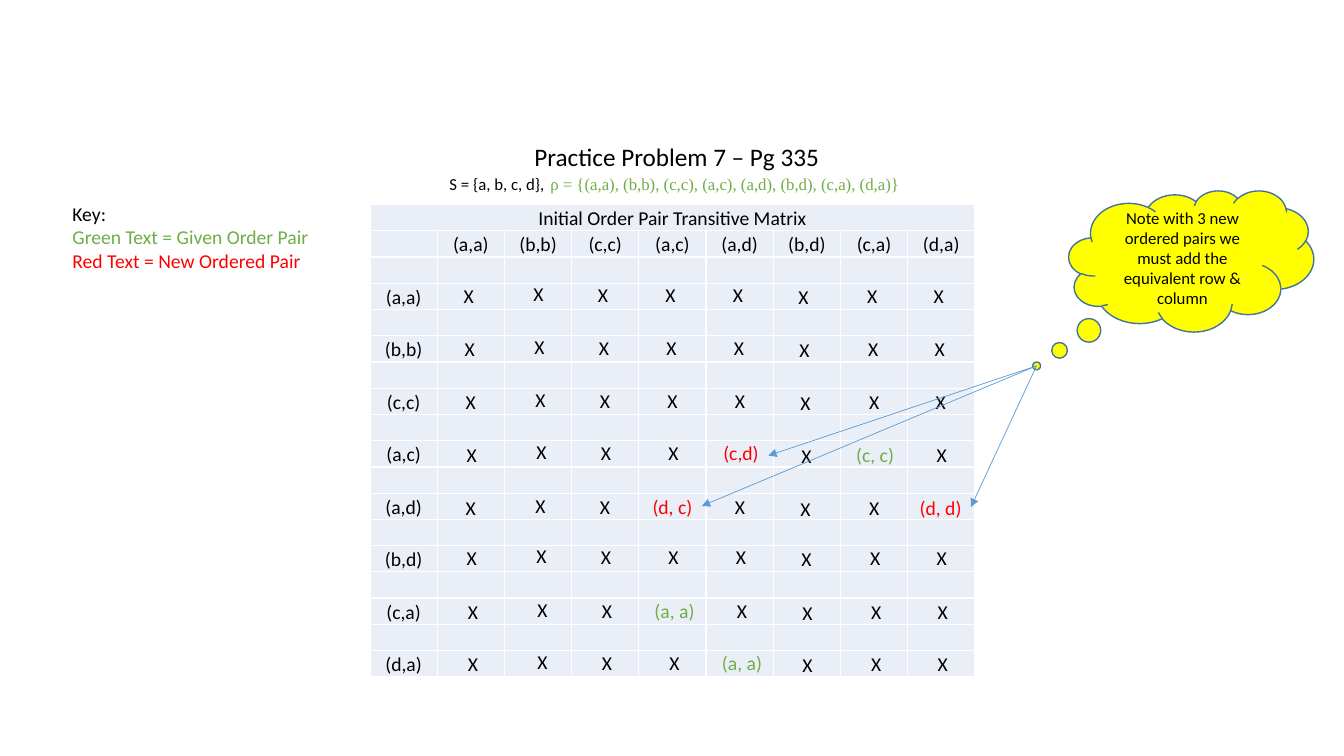
from lxml import etree
from pptx import Presentation
from pptx.dml.color import RGBColor
from pptx.enum.shapes import MSO_CONNECTOR, MSO_SHAPE
from pptx.enum.text import MSO_ANCHOR, MSO_AUTO_SIZE, PP_ALIGN
from pptx.oxml.ns import qn
from pptx.util import Inches, Pt

LEFT, CENTER = PP_ALIGN.LEFT, PP_ALIGN.CENTER
TOP, MIDDLE, BOTTOM = MSO_ANCHOR.TOP, MSO_ANCHOR.MIDDLE, MSO_ANCHOR.BOTTOM
NO_AUTOFIT = MSO_AUTO_SIZE.NONE
CLOUD, STRAIGHT = MSO_SHAPE.CLOUD_CALLOUT, MSO_CONNECTOR.STRAIGHT
BLACK, WHITE, GREEN, RED = "000000", "FFFFFF", "70AD47", "FF0000"
YELLOW, PALE, BLUE, DARK_BLUE = "FFFF00", "EAEFF7", "5B9BD5", "43739E"

PAIRS = ["(a,a)", "(b,b)", "(c,c)", "(a,c)", "(a,d)", "(b,d)", "(c,a)", "(d,a)"]
# Marks other than X, by (row, column) of the matrix
COMPOSED = {
    (3, 4): ("(c,d)", RED),
    (3, 6): ("(c, c)", GREEN),
    (4, 3): ("(d, c)", RED),
    (4, 7): ("(d, d)", RED),
    (6, 3): ("(a, a)", GREEN),
    (7, 4): ("(a, a)", GREEN),
}
MARK_CENTERS = [4.65, 5.34, 5.98, 6.65, 7.32, 7.97, 8.65, 9.31]
MARK_DIPS = [0, -0.02, -0.01, -0.01, -0.01, 0.01, 0, 0]
MARK_TOPS = [2.77, 3.29, 3.82, 4.34, 4.87, 5.37, 5.9, 6.42]
MARK_SHIFTS = [0, 0.01, 0.02, 0.03, 0.02, 0.03, 0.04, 0.04]


def rgb(value):
    return RGBColor.from_string(value)


class SlideBuilder:
    font = "Calibri"

    def __init__(self, slide):
        self.s = slide

    def style(self, font, size, color=BLACK, name=None):
        font.name = name or self.font
        font.size = Pt(size)
        font.color.rgb = rgb(color)

    def title(self, text, x, y, w, h, size):
        sp = self.s.shapes.title
        sp.left, sp.top, sp.width, sp.height = map(Inches, (x, y, w, h))
        tf = sp.text_frame
        tf.auto_size, tf.word_wrap = NO_AUTOFIT, False
        tf.vertical_anchor = TOP
        p = tf.paragraphs[0]
        p.text, p.alignment = text, LEFT
        self.style(p.font, size)

    def text(self, lines, x, y, w, h, size=14, align=LEFT):
        """Add a text box; lines holds (text, colour) pairs."""
        sp = self.s.shapes.add_textbox(*map(Inches, (x, y, w, h)))
        tf = sp.text_frame
        tf.word_wrap = False
        for i, (text, color) in enumerate(lines):
            p = tf.add_paragraph() if i else tf.paragraphs[0]
            p.text, p.alignment = text, align
            self.style(p.font, size, color)

    def formula(self, runs, x, y, w, h, size):
        """Add one line whose runs are (text, colour, font name)."""
        sp = self.s.shapes.add_textbox(*map(Inches, (x, y, w, h)))
        tf = sp.text_frame
        tf.word_wrap = True
        for text, color, name in runs:
            r = tf.paragraphs[0].add_run()
            r.text = text
            self.style(r.font, size, color, name)

    def cell(self, cell, text, size=14):
        cell.margin_left = cell.margin_right = cell.margin_top = Inches(0.01)
        cell.margin_bottom = 0
        cell.vertical_anchor = BOTTOM
        p = cell.text_frame.paragraphs[0]
        p.text, p.alignment = text, CENTER
        self.style(p.font, size)
        if not text:
            # Keeps empty rows as low as the filled ones
            end = etree.SubElement(p._p, qn("a:endParaRPr"))
            end.set("sz", str(size * 100))
        tc_pr = cell._tc.get_or_add_tcPr()
        for side in ("a:lnL", "a:lnR", "a:lnT", "a:lnB"):
            ln = etree.SubElement(tc_pr, qn(side), w=str(Pt(1)))
            fill = etree.SubElement(ln, qn("a:solidFill"))
            etree.SubElement(fill, qn("a:srgbClr"), val=WHITE)
        cell.fill.solid()
        cell.fill.fore_color.rgb = rgb(PALE)

    def table(self, rows, x, y, w, h):
        """Add a table whose first row is merged into a heading."""
        count = len(rows[0])
        frame = self.s.shapes.add_table(len(rows), count, *map(Inches, (x, y, w, h)))
        table = frame.table
        table.first_row = table.horz_banding = False
        for row, texts in zip(table.rows, rows):
            row.height = Inches(h / len(rows))
            for cell, text in zip(row.cells, texts):
                self.cell(cell, text)
        table.cell(0, 0).merge(table.cell(0, count - 1))

    def cloud(self, text, x, y, w, h, tip):
        sp = self.s.shapes.add_shape(CLOUD, *map(Inches, (x, y, w, h)))
        sp.shadow.inherit = False
        sp.adjustments[0], sp.adjustments[1] = tip
        sp.fill.solid()
        sp.fill.fore_color.rgb = rgb(YELLOW)
        sp.line.color.rgb = rgb(DARK_BLUE)
        sp.line.width = Pt(1)
        tf = sp.text_frame
        tf.word_wrap, tf.vertical_anchor = True, MIDDLE
        p = tf.paragraphs[0]
        p.text, p.alignment = text, CENTER
        self.style(p.font, 12)

    def arrow(self, start, end):
        sp = self.s.shapes.add_connector(STRAIGHT, *map(Inches, start + end))
        sp.line.color.rgb = rgb(BLUE)
        sp.line.width = Pt(0.5)
        ln = sp.line._get_or_add_ln()
        etree.SubElement(ln, qn("a:tailEnd"), type="triangle")
        etree.SubElement(sp._element.spPr, qn("a:effectLst"))


def matrix_rows():
    blank = [""] * len(PAIRS)
    rows = [["Initial Order Pair Transitive Matrix"] + blank, [""] + PAIRS]
    for pair in PAIRS:
        rows += [[""] + blank, [pair] + blank]
    return rows


def main():
    prs = Presentation()
    prs.slide_width, prs.slide_height = Inches(13.33), Inches(7.5)
    b = SlideBuilder(prs.slides.add_slide(prs.slide_layouts[5]))

    b.table(matrix_rows(), 3.67, 2.03, 6, 4.69)
    b.title("Practice Problem 7 – Pg 335", 5.2, 1.35, 3.12, 0.4, 18)
    key = [
        ("Key:", BLACK),
        ("Green Text = Given Order Pair", GREEN),
        ("Red Text = New Ordered Pair", RED),
    ]
    b.text(key, 0.62, 1.95, 2.57, 0.81)
    relation = "ρ = {(a,a), (b,b), (c,c), (a,c), (a,d), (b,d), (c,a), (d,a)}"
    runs = [
        ("S = {a, b, c, d}, \t", BLACK, "Calibri"),
        (relation, GREEN, "Times New Roman"),
    ]
    b.formula(runs, 4.36, 1.67, 6.67, 0.3, 12)

    for i, (top, shift) in enumerate(zip(MARK_TOPS, MARK_SHIFTS)):
        for j, (center, dip) in enumerate(zip(MARK_CENTERS, MARK_DIPS)):
            mark = COMPOSED.get((i, j), ("X", BLACK))
            w = 0.8 if (i, j) in COMPOSED else 0.3
            b.text([mark], center + shift - w / 2, top + dip, w, 0.34, align=CENTER)

    note = "Note with 3 new ordered pairs we must add the equivalent row & column"
    b.cloud(note, 10.6, 1.89, 2.43, 1.4, (-0.631, 0.743))
    for target in [(7.62, 4.52), (6.96, 5.02), (9.63, 5.03)]:
        b.arrow((10.28, 3.63), target)

    prs.save("out.pptx")


if __name__ == "__main__":
    main()
